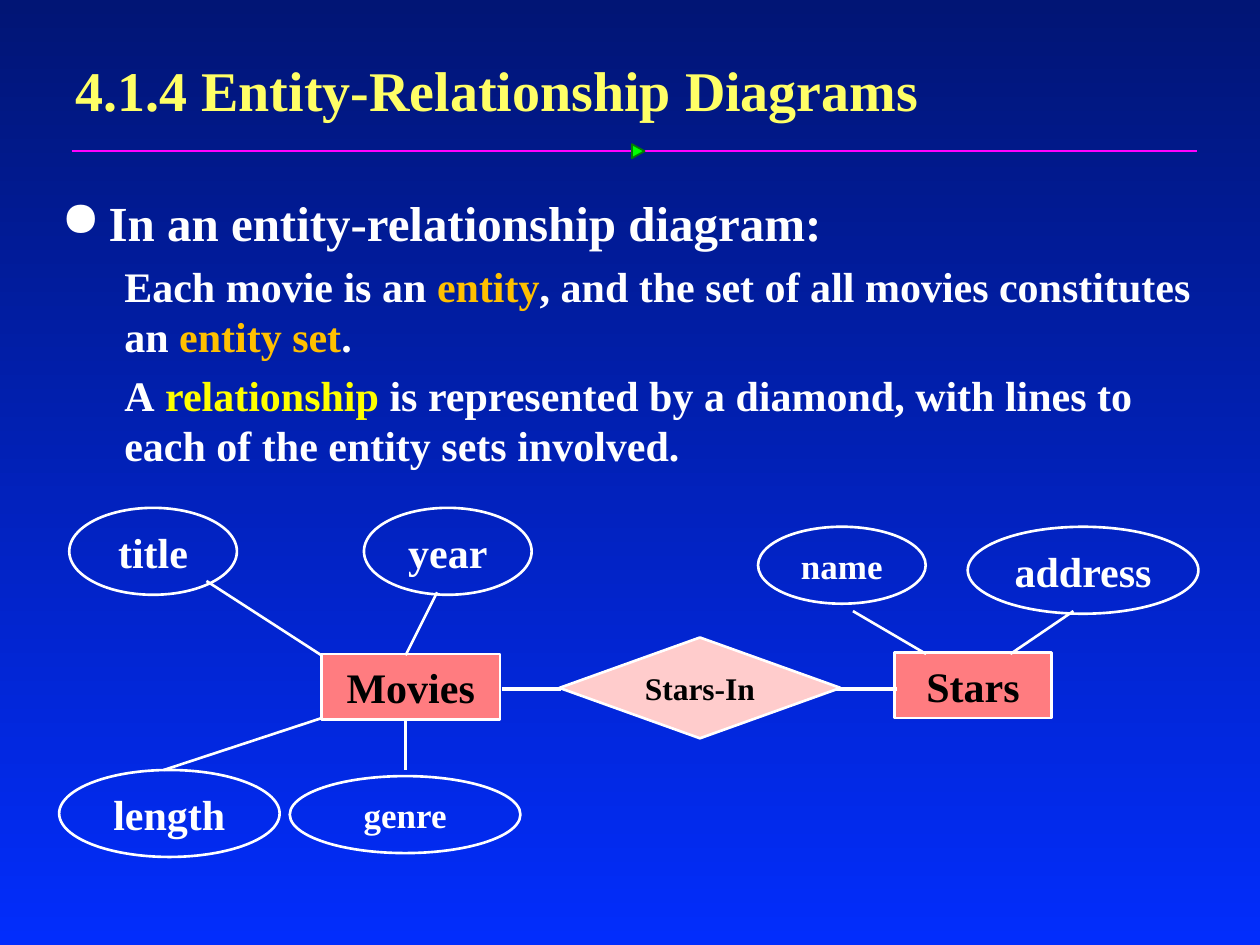
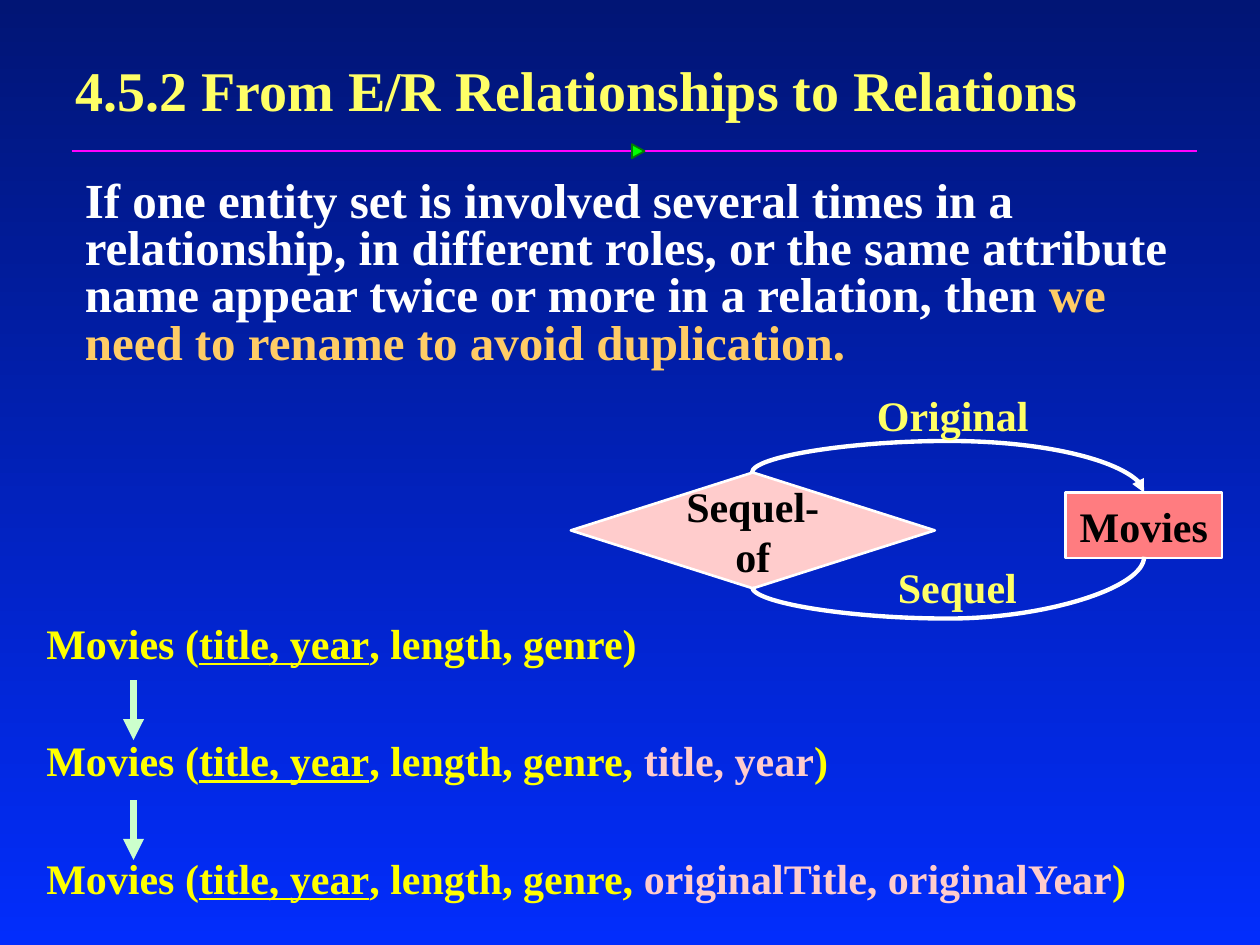
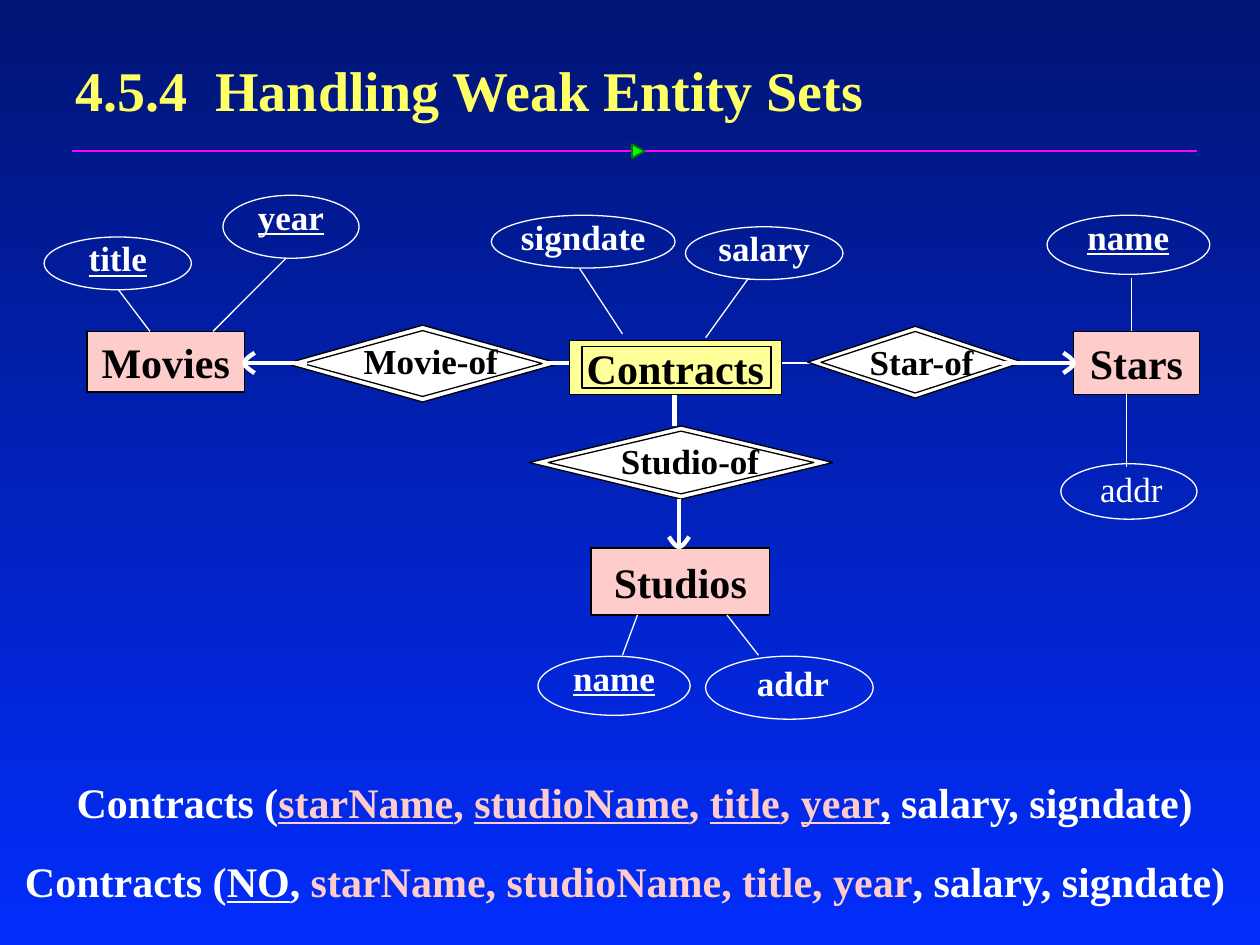
from dataclasses import dataclass
from typing import NamedTuple, Optional

from lxml.etree import SubElement
from pptx import Presentation
from pptx.dml.color import RGBColor
from pptx.enum.shapes import MSO_CONNECTOR as Link, MSO_SHAPE as Preset
from pptx.enum.text import MSO_ANCHOR as Anchor, PP_ALIGN as Align
from pptx.oxml.ns import qn
from pptx.util import Pt

FONT = "Times New Roman"
COLORS = {
    "night": "011575", "blue": "022DFC", "white": "FFFFFF", "black": "000000",
    "title": "FFFF66", "rule": "FF01FF", "marker": "00FF00", "marker edge": "037C03",
    "amber": "FFC000", "yellow": "FFFF00", "peach": "FFCC66", "pink": "FFCCCC",
    "coral": "FF7C80", "mint": "CCFFCC", "cream": "FFFF99",
}


class Point(NamedTuple):
    x: float
    y: float


class Box(NamedTuple):
    left: float
    top: float
    width: float
    height: float

    def shrink(self, dx: float, dy: float) -> "Box":
        return Box(self.left + dx, self.top + dy, self.width - 2 * dx, self.height - 2 * dy)


class Run(NamedTuple):
    text: str
    color: Optional[str] = None
    underline: bool = False


@dataclass
class Paragraph:
    runs: list[Run]
    size: float = 24
    color: str = "white"
    bold: bool = True
    align: Align = Align.LEFT
    margin: float = 0
    bullet: str = ""
    before: float = 0
    spacing: Optional[float] = None


@dataclass
class Style:
    preset: Preset
    fill: Optional[str] = None
    outline: str = "white"
    width: float = 1.5
    ink: str = "white"


@dataclass
class Node:
    style: Style
    box: Box
    text: str = ""
    size: float = 24
    wraps: bool = False


@dataclass
class Attribute:
    box: Box
    text: str
    underline: bool = False
    bold: bool = True
    shift: Point = Point(0, 0)


@dataclass
class Line:
    start: Point
    end: Point
    width: float = 1.5
    color: str = "white"
    arrow: bool = False


ENTITY = Style(Preset.RECTANGLE, "coral", ink="black")
ATTRIBUTE = Style(Preset.OVAL)
RELATIONSHIP = Style(Preset.DIAMOND, "pink", ink="black")
THIN_ENTITY = Style(Preset.RECTANGLE, "pink", "black", 0.75, "black")
THIN_ATTRIBUTE = Style(Preset.OVAL, width=0.75)
WEAK_ENTITY = Style(Preset.RECTANGLE, "cream", "black", 0.75, "black")
INNER_FRAME = Style(Preset.RECTANGLE, None, "black", 0.75)
WEAK_LINK = Style(Preset.DIAMOND, "white", "black", 0.75)
INNER_LINK = Style(Preset.DIAMOND, None, "black", 0.75)


def rgb(name: str) -> RGBColor:
    return RGBColor.from_string(COLORS[name])


def points(values: tuple) -> list:
    return [Pt(value) for value in values]


def write(frame, paragraphs: list[Paragraph]) -> None:
    for index, item in enumerate(paragraphs):
        paragraph = frame.paragraphs[0] if index == 0 else frame.add_paragraph()
        properties = paragraph._p.get_or_add_pPr()
        properties.set("marL", str(Pt(item.margin)))
        properties.set("indent", str(-Pt(item.margin) if item.bullet else 0))
        if item.bullet:
            SubElement(properties, qn("a:buChar")).set("char", item.bullet)
        paragraph.alignment = item.align
        paragraph.space_before = Pt(item.before)
        if item.spacing:
            paragraph.line_spacing = item.spacing
        font = paragraph.font
        font.name, font.size, font.bold = FONT, Pt(item.size), item.bold
        font.color.rgb = rgb(item.color)
        for piece in item.runs:
            run = paragraph.add_run()
            run.text = piece.text
            if piece.color:
                run.font.color.rgb = rgb(piece.color)
            if piece.underline:
                run.font.underline = True


def draw_text(slide, box: Box, paragraphs: list[Paragraph], anchor=Anchor.TOP,
              inset: bool = True) -> None:
    frame = slide.shapes.add_textbox(*points(box)).text_frame
    frame.word_wrap = True
    frame.vertical_anchor = anchor
    if not inset:
        frame.margin_left = frame.margin_right = frame.margin_top = frame.margin_bottom = 0
    write(frame, paragraphs)


def paint(shape, style: Style) -> None:
    shape.shadow.inherit = False
    if style.fill:
        shape.fill.solid()
        shape.fill.fore_color.rgb = rgb(style.fill)
    else:
        shape.fill.background()
    shape.line.color.rgb = rgb(style.outline)
    shape.line.width = Pt(style.width)


def draw_node(slide, node: Node) -> None:
    shape = slide.shapes.add_shape(node.style.preset, *points(node.box))
    paint(shape, node.style)
    if node.text:
        frame = shape.text_frame
        frame.word_wrap = node.wraps
        frame.vertical_anchor = Anchor.MIDDLE
        write(frame, [Paragraph([Run(node.text)], node.size, node.style.ink,
                                align=Align.CENTER)])


def draw_attribute(slide, attribute: Attribute) -> None:
    """Draw a thin ellipse with its label near the top."""
    draw_node(slide, Node(THIN_ATTRIBUTE, attribute.box))
    label = attribute.box.shrink(attribute.box.width / 12, 0)
    label = label._replace(left=label.left + attribute.shift.x,
                           top=label.top + attribute.shift.y)
    draw_text(slide, label, [Paragraph([Run(attribute.text, underline=attribute.underline)], 20,
                                       bold=attribute.bold, align=Align.CENTER)], inset=False)


def draw_weak_link(slide, box: Box, text: str) -> None:
    """Draw a double diamond with its label."""
    draw_node(slide, Node(WEAK_LINK, box))
    draw_node(slide, Node(INNER_LINK, box.shrink(box.width / 16, box.height / 14)))
    label = Box(box.left + 0.28 * box.width, box.top + 8, box.width / 2, 30)
    draw_text(slide, label, [Paragraph([Run(text)], 20, "black", align=Align.CENTER)],
              inset=False)


def finish_connector(connector, line: Line) -> None:
    connector.line.color.rgb = rgb(line.color)
    connector.line.width = Pt(line.width)
    if line.arrow:
        SubElement(connector.line._get_or_add_ln(), qn("a:tailEnd")).set("type", "triangle")
    SubElement(connector._element.spPr, qn("a:effectLst"))


def draw_line(slide, line: Line) -> None:
    connector = slide.shapes.add_connector(Link.STRAIGHT, *points(line.start + line.end))
    finish_connector(connector, line)


def draw_curve(slide, line: Line, bulge: float) -> None:
    """Draw a curved connector turned by 90 degrees, so that it bulges up or down."""
    middle = Point((line.start.x + line.end.x) / 2, (line.start.y + line.end.y) / 2)
    dx, dy = line.start.x - middle.x, line.start.y - middle.y
    ends = (middle.x + dy, middle.y - dx, middle.x - dy, middle.y + dx)
    connector = slide.shapes.add_connector(Link.CURVE, *points(ends))
    properties = connector._element.spPr
    properties.find(qn("a:xfrm")).set("rot", str(90 * 60000))
    guide = SubElement(properties.find(qn("a:prstGeom")).find(qn("a:avLst")), qn("a:gd"))
    guide.set("name", "adj1")
    guide.set("fmla", f"val {round(bulge * 100000)}")
    finish_connector(connector, line)


def draw_open_arrow(slide, start: Point, tip: Point) -> None:
    """Draw a level or upright line that ends in a rounded open tip."""
    draw_line(slide, Line(start, tip, 2.5))
    length = abs(tip.x - start.x) + abs(tip.y - start.y)
    ux, uy = (tip.x - start.x) / length, (tip.y - start.y) / length
    size, steps = 5.8, 6
    outline = []
    for step in range(-steps, steps + 1):
        side = step / steps
        back = size * (1.5 * side ** 2 - 0.5 * abs(side) ** 3)
        across = size * side
        outline.append((Pt(tip.x - ux * back - uy * across),
                        Pt(tip.y - uy * back + ux * across)))
    builder = slide.shapes.build_freeform(*outline[0])
    builder.add_line_segments(outline[1:], close=False)
    paint(builder.convert_to_shape(), Style(Preset.CHEVRON, width=2.5))


def set_background(master) -> None:
    fill = master.background.fill
    fill.gradient()
    fill.gradient_angle = 270
    for stop, color, position in zip(fill.gradient_stops, ("night", "blue"), (0, 1)):
        stop.color.rgb = rgb(color)
        stop.position = position


def add_titled_slide(presentation, title: str):
    slide = presentation.slides.add_slide(presentation.slide_layouts[6])
    draw_text(slide, Box(36, 24, 653, 54), [Paragraph([Run(title)], 32, "title")], Anchor.MIDDLE)
    draw_line(slide, Line(Point(41, 86.4), Point(684, 86.4), 1, "rule"))
    marker = slide.shapes.add_shape(Preset.ISOSCELES_TRIANGLE, *points((360.7, 82.8, 8, 7.2)))
    marker.rotation = 90
    paint(marker, Style(Preset.ISOSCELES_TRIANGLE, "marker", "marker edge", 1))
    return slide


def build_diagram_slide(presentation) -> None:
    slide = add_titled_slide(presentation, "4.1.4 Entity-Relationship Diagrams")
    draw_text(slide, Box(28, 106.6, 670, 392), [
        Paragraph([Run("In an entity-relationship diagram:")], 28, margin=27, bullet="●"),
        Paragraph([Run("Each movie is an "), Run("entity", "amber"),
                   Run(", and the set of all movies constitutes an "),
                   Run("entity set", "amber"), Run(".")], margin=36, before=4.8),
        Paragraph([Run("A"), Run(" relationship ", "yellow"),
                   Run("is represented by a diamond, with lines to each of the "
                       "entity sets involved.")], margin=36, before=4.8),
    ])
    for node in (
        Node(ENTITY, Box(183.6, 373.7, 102.2, 37.4), "Movies"),
        Node(ATTRIBUTE, Box(39.6, 290.2, 95.8, 49.7), "title"),
        Node(ATTRIBUTE, Box(208, 290.2, 95.8, 49.7), "year"),
        Node(ATTRIBUTE, Box(33.8, 440, 126, 49.7), "length"),
        Node(ATTRIBUTE, Box(165.6, 443.5, 131.8, 44), "genre", 20),
        Node(ENTITY, Box(511, 373, 90, 37.4), "Stars"),
        Node(ATTRIBUTE, Box(433.2, 301, 95.8, 44), "name", 20),
        Node(ATTRIBUTE, Box(553, 301, 131.8, 49.7), "address"),
        Node(RELATIONSHIP, Box(319.7, 364.3, 160.6, 57.6), "Stars-In", 18),
    ):
        draw_node(slide, node)
    for line in (
        Line(Point(118, 332), Point(183.6, 374.4)),
        Line(Point(93.6, 440), Point(183.6, 410.4)),
        Line(Point(249.8, 338.4), Point(231.8, 374.4)),
        Line(Point(231.8, 410.4), Point(231.8, 440)),
        Line(Point(487.4, 349.2), Point(529.2, 373.7)),
        Line(Point(613.4, 349.2), Point(577.4, 373.7)),
        Line(Point(320.4, 393.8), Point(286.6, 393.8), 2),
        Line(Point(512.6, 393.8), Point(478, 393.8), 2),
    ):
        draw_line(slide, line)


def build_roles_slide(presentation) -> None:
    slide = add_titled_slide(presentation, "4.5.2 From E/R Relationships to Relations")
    draw_text(slide, Box(14.4, 100, 669, 124.6), [
        Paragraph([Run("If one entity set is involved several times in a relationship, in "
                       "different roles, or the same attribute name appear twice or more in "
                       "a relation, then "),
                   Run("we need to rename to avoid duplication.", "peach")],
                  28, margin=27, spacing=0.8)])
    draw_node(slide, Node(RELATIONSHIP, Box(326.2, 270, 208, 66.2), "Sequel-of", wraps=True))
    draw_node(slide, Node(ENTITY, Box(609, 281.5, 89.3, 37.4), "Movies"))
    draw_curve(slide, Line(Point(429.8, 270), Point(653.8, 281.5), 2.5, arrow=True), -1.565)
    draw_curve(slide, Line(Point(429.8, 335.5), Point(653.8, 318.2), 2.5), -1.043)
    for role, left, top in (("Original", 494, 219), ("Sequel", 506, 317.5)):
        draw_text(slide, Box(left, top, 110, 36), [Paragraph([Run(role)], color="title")])

    relation = [Run("Movies ("), Run("title, year", underline=True)]
    extensions = [[Run(", length, genre)")]]
    for added in ("title, year", "originalTitle, originalYear"):
        extensions.append([Run(", length, genre, "), Run(added, "pink"), Run(")")])
    draw_text(slide, Box(19.4, 349.2, 690, 174),
              [Paragraph(relation + extension, color="yellow", before=38.4 if index else 0)
               for index, extension in enumerate(extensions)])
    for top in (388.8, 457.2):
        draw_line(slide, Line(Point(76.3, top), Point(76.3, top + 34.2), 4, "mint", True))


def build_weak_sets_slide(presentation) -> None:
    slide = add_titled_slide(presentation, "4.5.4  Handling Weak Entity Sets")
    for box, text in (
        (Box(49.7, 189.4, 90, 34.6), "Movies"),
        (Box(613.4, 189.4, 72, 36), "Stars"),
        (Box(337.7, 313.2, 102.2, 38.2), "Studios"),
    ):
        draw_node(slide, Node(THIN_ENTITY, box, text))
    for attribute in (
        Attribute(Box(280.8, 123, 105, 30.2), "signdate"),
        Attribute(Box(391.7, 129.6, 90, 30.2), "salary"),
        Attribute(Box(307.4, 375, 87, 33.8), "name", True),
        Attribute(Box(403.2, 375, 95.8, 36), "addr", shift=Point(2, 3)),
        Attribute(Box(25.2, 135.4, 84.2, 30.2), "title", True),
        Attribute(Box(127.4, 111.6, 77.8, 36), "year", True),
        Attribute(Box(598.3, 123, 93, 33.8), "name", True),
        Attribute(Box(606.2, 265, 77.8, 31.7), "addr", bold=False, shift=Point(1.4, 2)),
    ):
        draw_attribute(slide, attribute)
    for start, end in (
        (Point(439.2, 207.4), Point(469.4, 207.4)),
        (Point(355.7, 190.8), Point(331.2, 153.4)),
        (Point(427.7, 159), Point(403.2, 193)),
        (Point(364.3, 351.4), Point(355.7, 374.4)),
        (Point(415.4, 351.4), Point(433.4, 374.4)),
        (Point(85.7, 189.4), Point(67.7, 165.6)),
        (Point(121.7, 189.4), Point(163.4, 147.6)),
        (Point(646.6, 189.4), Point(646.6, 159)),
        (Point(643.7, 225.4), Point(643.7, 267)),
    ):
        draw_line(slide, Line(start, end, 0.75))
    for box, text in (
        (Box(461.5, 186.5, 123, 41), "Star-of"),
        (Box(163.4, 185.8, 156.2, 43.9), "Movie-of"),
        (Box(302.4, 243.4, 173.5, 41.8), "Studio-of"),
    ):
        draw_weak_link(slide, box, text)
    draw_line(slide, Line(Point(313.2, 207.4), Point(337.7, 207.4), 2.5))
    draw_line(slide, Line(Point(385.5, 243.4), Point(385.5, 225.4), 2.5))
    draw_open_arrow(slide, Point(571.7, 207.4), Point(613.4, 207.4))
    draw_open_arrow(slide, Point(175.7, 207.4), Point(139.7, 207.4))
    draw_open_arrow(slide, Point(388, 285), Point(388, 312.5))
    draw_node(slide, Node(WEAK_ENTITY, Box(325.4, 194.4, 121, 31), "Contracts"))
    draw_node(slide, Node(INNER_FRAME, Box(332.6, 198, 108, 23.8)))

    keys = []
    for key in ("starName", "studioName", "title"):
        keys += [Run(key, "pink", True), Run(", ", "pink")]
    draw_text(slide, Box(36.7, 440, 670, 36), [Paragraph(
        [Run("Contracts ("), *keys, Run("year", "pink", True), Run(",", underline=True),
         Run(" salary, signdate)")])])
    draw_text(slide, Box(7.2, 485.3, 712, 36), [Paragraph(
        [Run("Contracts ("), Run("NO", underline=True), Run(", "),
         Run("starName, studioName, title, year", "pink"), Run(", salary, signdate)")])])


def main() -> None:
    presentation = Presentation()
    presentation.slide_width, presentation.slide_height = Pt(720), Pt(540)
    set_background(presentation.slide_master)
    build_diagram_slide(presentation)
    build_roles_slide(presentation)
    build_weak_sets_slide(presentation)
    presentation.save("out.pptx")


if __name__ == "__main__":
    main()
